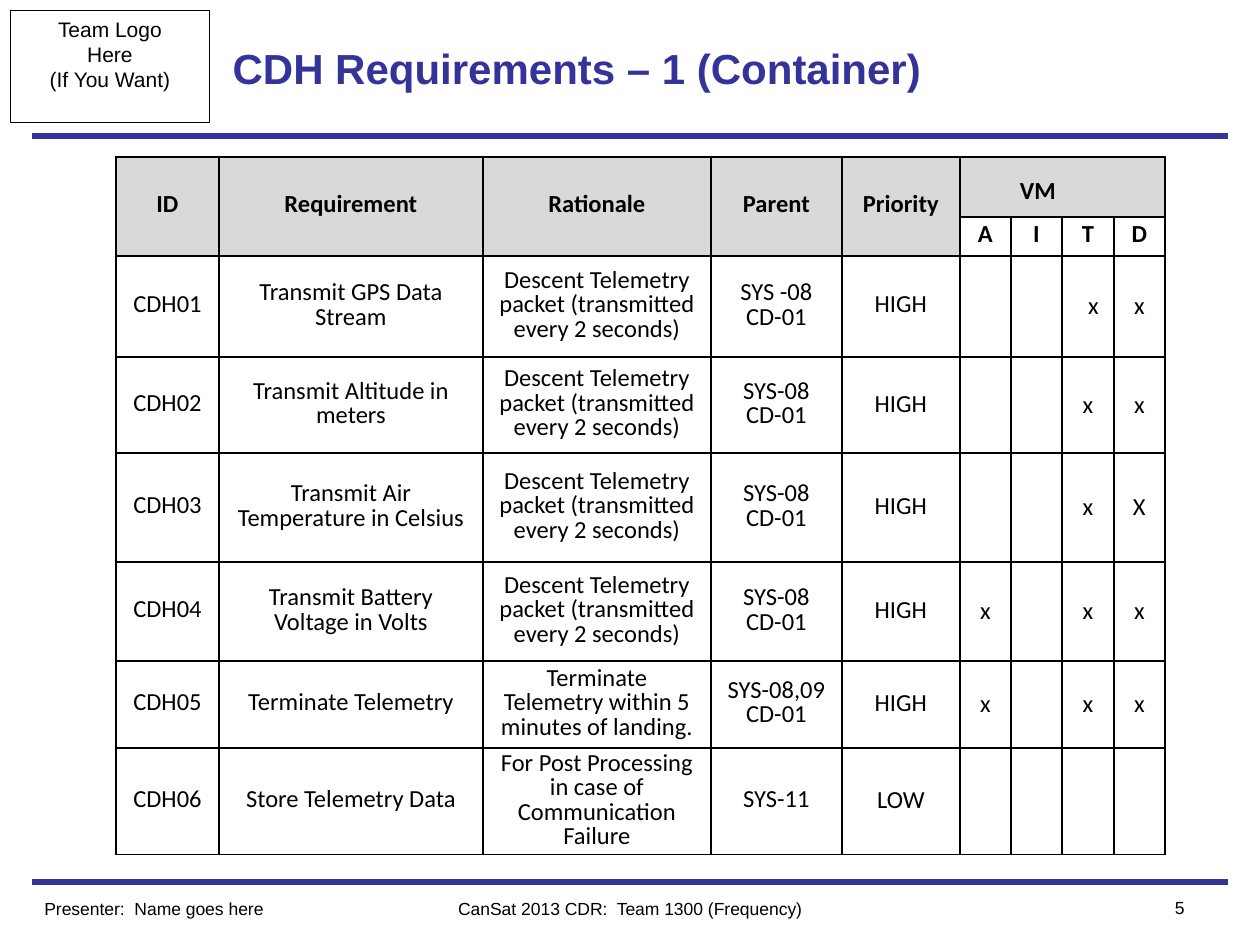
from lxml.etree import SubElement
from pptx import Presentation
from pptx.dml.color import RGBColor
from pptx.enum.shapes import MSO_CONNECTOR, MSO_SHAPE
from pptx.enum.text import MSO_ANCHOR, MSO_AUTO_SIZE, PP_ALIGN
from pptx.oxml.ns import qn
from pptx.util import Emu, Pt

PX_PER_INCH = 126
COLUMN_WIDTHS = [103, 264, 228, 131, 118, 51, 51, 52, 51]
ROW_HEIGHTS = [60, 39, 101, 96, 109, 99, 87, 106]
HEADINGS = ["ID", "Requirement", "Rationale", "Parent", "Priority"]
METHODS = "AITD"
PACKET = "Descent Telemetry packet (transmitted every 2 seconds)"
REQUIREMENTS = [
    ("CDH01", "Transmit GPS Data Stream", PACKET, "SYS -08\nCD-01", "HIGH", {"T": "x", "D": "x"}),
    ("CDH02", "Transmit Altitude in meters", PACKET, "SYS-08\nCD-01", "HIGH", {"T": "x", "D": "x"}),
    ("CDH03", "Transmit Air Temperature in Celsius", PACKET, "SYS-08\nCD-01", "HIGH",
     {"T": "x", "D": "X"}),
    ("CDH04", "Transmit Battery Voltage in Volts", PACKET, "SYS-08\nCD-01", "HIGH",
     {"A": "x", "T": "x", "D": "x"}),
    ("CDH05", "Terminate Telemetry", "Terminate Telemetry within 5 minutes of landing.",
     "SYS-08,09\nCD-01", "HIGH", {"A": "x", "T": "x", "D": "x"}),
    ("CDH06", "Store Telemetry Data", "For Post Processing in case of Communication Failure",
     "SYS-11", "LOW", {}),
]


def px(length):
    return Emu(round(length * 914400 / PX_PER_INCH))


def color(code):
    return RGBColor.from_string(code)


def write(frame, text, font="Arial", size=10, ink="000000", bold=False,
          align=PP_ALIGN.LEFT, spacing=None, indent=0):
    for index, line in enumerate(text.split("\n")):
        para = frame.paragraphs[0] if index == 0 else frame.add_paragraph()
        para.alignment = align
        if spacing:
            para.line_spacing = spacing
        if indent:
            para._p.get_or_add_pPr().set("marL", str(px(indent)))
        span = para.add_run()
        span.text = line
        span.font.name = font
        span.font.size = Pt(size)
        span.font.bold = bold
        span.font.color.rgb = color(ink)


class SlideBuilder:
    accent = "333399"
    ink = "000000"
    header_fill = "D9D9D9"

    def __init__(self, slide):
        self.slide = slide

    def rule(self, left, right, y):
        line = self.slide.shapes.add_connector(
            MSO_CONNECTOR.STRAIGHT, px(left), px(y), px(right), px(y))
        line.line.color.rgb = color(self.accent)
        line.line.width = Pt(3)
        SubElement(line._element.spPr, qn("a:effectLst"))

    def title(self, text, *bounds):
        title = self.slide.shapes.title
        title.left, title.top, title.width, title.height = map(px, bounds)
        frame = title.text_frame
        frame.word_wrap = True
        frame.auto_size = MSO_AUTO_SIZE.NONE
        frame.vertical_anchor = MSO_ANCHOR.MIDDLE
        write(frame, text, size=24, ink=self.accent, bold=True)

    def frame_box(self, text, *bounds):
        box = self.slide.shapes.add_shape(MSO_SHAPE.RECTANGLE, *map(px, bounds))
        box.shadow.inherit = False
        box.fill.background()
        box.line.color.rgb = color(self.ink)
        box.line.width = Pt(0.5)
        frame = box.text_frame
        frame.word_wrap = False
        frame.vertical_anchor = MSO_ANCHOR.TOP
        write(frame, text, size=12, align=PP_ALIGN.CENTER)

    def label(self, text, *bounds, align=PP_ALIGN.LEFT):
        box = self.slide.shapes.add_textbox(*map(px, bounds))
        box.text_frame.word_wrap = True
        write(box.text_frame, text, align=align)

    def table(self, left, top, widths, heights):
        table = self.slide.shapes.add_table(
            len(heights), len(widths), px(left), px(top),
            px(sum(widths)), px(sum(heights))).table
        table.first_row = False
        table.horz_banding = False
        for column, width in zip(table.columns, widths):
            column.width = px(width)
        for row, height in zip(table.rows, heights):
            row.height = px(height)
        for cell in table.iter_cells():
            self.borders(cell)
            cell.fill.background()
        return table

    def borders(self, cell):
        properties = cell._tc.get_or_add_tcPr()
        for side in ("a:lnL", "a:lnR", "a:lnT", "a:lnB"):
            edge = SubElement(properties, qn(side), w=str(Pt(1)))
            fill = SubElement(edge, qn("a:solidFill"))
            SubElement(fill, qn("a:srgbClr"), val=self.ink)

    def cell(self, cell, text, shaded=False, top=4, spacing=0.82,
             align=PP_ALIGN.CENTER, **style):
        cell.vertical_anchor = MSO_ANCHOR.MIDDLE
        cell.margin_left = cell.margin_right = px(13)
        cell.margin_top, cell.margin_bottom = px(top), px(6)
        if shaded:
            cell.fill.solid()
            cell.fill.fore_color.rgb = color(self.header_fill)
        write(cell.text_frame, text, font="Calibri", size=14,
              align=align, spacing=spacing, **style)


def fill_requirements(page, table):
    first_method = len(HEADINGS)
    for column, heading in enumerate(HEADINGS):
        table.cell(0, column).merge(table.cell(1, column))
        page.cell(table.cell(0, column), heading, shaded=True, bold=True)
    methods = table.cell(0, first_method)
    methods.merge(table.cell(0, len(COLUMN_WIDTHS) - 1))
    page.cell(methods, "VM", shaded=True, bold=True, top=15, spacing=None,
              align=PP_ALIGN.LEFT, indent=47)
    for column, method in enumerate(METHODS, first_method):
        page.cell(table.cell(1, column), method, bold=True)
    for row, (*texts, marks) in enumerate(REQUIREMENTS, 2):
        for column, text in enumerate(texts):
            spacing = 0.93 if HEADINGS[column] == "Priority" and row > 2 else 0.82
            page.cell(table.cell(row, column), text, spacing=spacing)
        for method, mark in marks.items():
            column = first_method + METHODS.index(method)
            indent = 11 if (row, method) == (2, "T") else 0
            page.cell(table.cell(row, column), mark, top=6, spacing=None, indent=indent)


def main():
    deck = Presentation()
    deck.slide_width, deck.slide_height = px(1260), px(945)
    page = SlideBuilder(deck.slides.add_slide(deck.slide_layouts[5]))
    for y in (882, 136):
        page.rule(32, 1228, y)
    page.frame_box("Team Logo\nHere\n(If You Want)", 10, 10, 200, 113)
    page.label("CanSat 2013 CDR:  Team 1300 (Frequency)", 378, 892, 504, 34,
               align=PP_ALIGN.CENTER)
    page.label("5", 1102, 891, 95, 34, align=PP_ALIGN.RIGHT)
    page.title("CDH Requirements – 1 (Container)", 220, 10, 746, 116)
    page.label("Presenter:  Name goes here", 32, 892, 315, 34)
    fill_requirements(page, page.table(116, 157, COLUMN_WIDTHS, ROW_HEIGHTS))
    deck.save("out.pptx")


if __name__ == "__main__":
    main()
